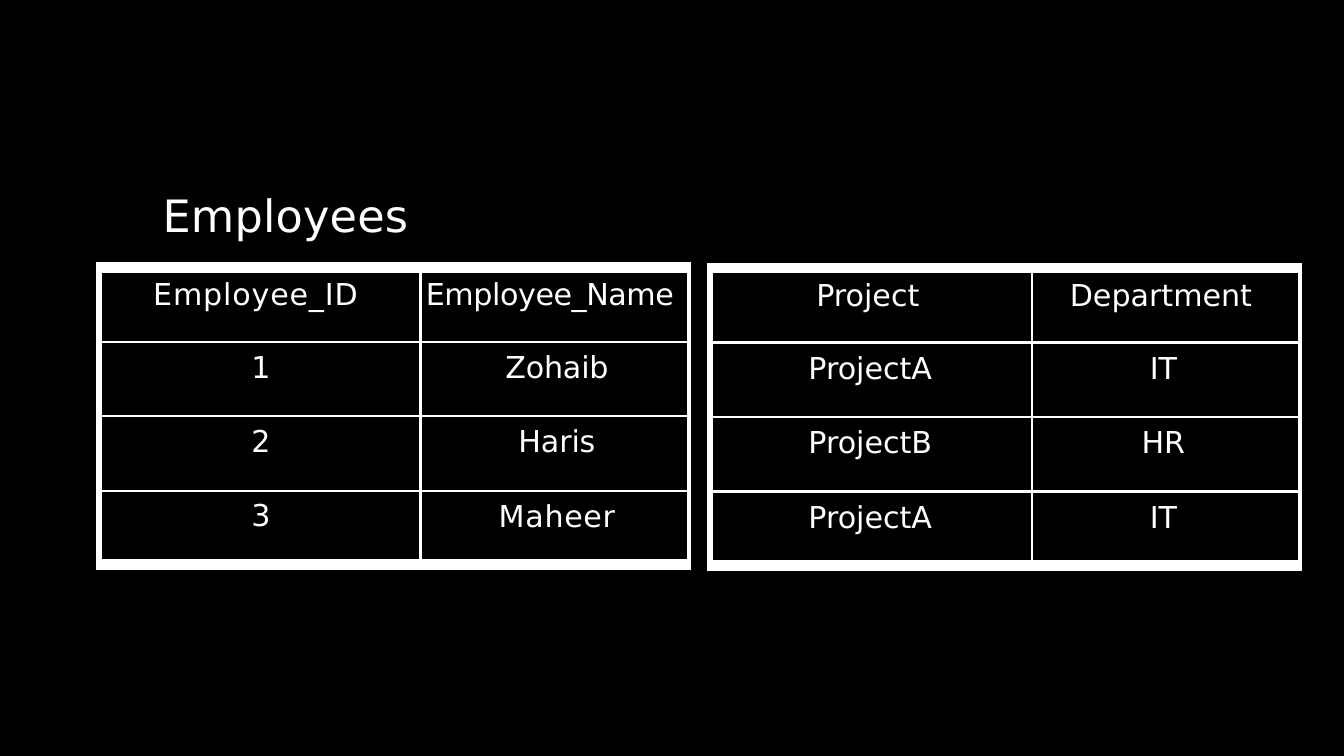
from dataclasses import dataclass

from lxml import etree
from pptx import Presentation
from pptx import util as u
from pptx.dml.color import RGBColor
from pptx.enum import text
from pptx.oxml.ns import qn

FONT = "DejaVu Sans"
HUES = {"black": "000000", "white": "FFFFFF"}
COLS = (0.2, 13.26, 11.1, 0.08)
ROWS = (0.38, 2.9, 3.1, 3.1, 2.9, 0.38)
LAST = len(ROWS) - 2


@dataclass
class Entry:
    words: str
    track: float = 0
    indent: float = 0.25
    top: float = 0.36
    before: float = 10


@dataclass
class Grid:
    left: float
    top: float
    rows: list[list[Entry]]


def head(words: str, track: float = 0, indent: float = 0.05) -> Entry:
    return Entry(words, track, indent, 0.25, 7.1)


GRIDS = [
    Grid(4.01, 10.92, [
        [head("Employee_ID ", 1, 0), head("Employee_Name ", -0.5)],
        [Entry("1", indent=0), Entry("Zohaib", -0.2)],
        [Entry("2", indent=0), Entry("Haris", -0.2)],
        [Entry("3", indent=0, top=0.3, before=8.3), Entry("Maheer", 0.8)],
    ]),
    Grid(29.41, 10.95, [
        [head("Project "), head("Department ")],
        [Entry("ProjectA "), Entry("IT ")],
        [Entry("ProjectB "), Entry("HR ")],
        [Entry("ProjectA "), Entry("IT ")],
    ]),
]


def hue(name: str) -> RGBColor:
    return RGBColor.from_string(HUES[name])


def write(para, entry: Entry, size: float) -> None:
    para.space_before = u.Pt(entry.before)
    para._p.get_or_add_pPr().set("marL", str(u.Cm(entry.indent)))
    run = para.add_run()
    run.text = entry.words
    run.font.name = FONT
    run.font.size = u.Pt(size)
    run.font.color.rgb = hue("white")
    run._r.get_or_add_rPr().set("spc", str(round(entry.track * 100)))


def rule(cell, side: str, width: float) -> None:
    """Draw one white border; call in the order L, R, T, B, before the fill."""
    props = cell._tc.get_or_add_tcPr()
    line = etree.SubElement(props, qn(f"a:ln{side}"), w=str(u.Pt(width)))
    fill = etree.SubElement(line, qn("a:solidFill"))
    etree.SubElement(fill, qn("a:srgbClr"), val=HUES["white"])


def paint(cell, name: str) -> None:
    cell.fill.solid()
    cell.fill.fore_color.rgb = hue(name)


def frame(cell, row: int, col: int) -> None:
    """Fill a cell of the white frame, its empty line kept tiny."""
    if col == 3 and 1 <= row <= LAST:
        rule(cell, "L", 2.25)
    paint(cell, "white")
    para = cell.text_frame.paragraphs[0]
    etree.SubElement(para._p, qn("a:endParaRPr"), sz="500")


def body(cell, entry: Entry, row: int, col: int) -> None:
    if col == 2:
        rule(cell, "L", 3)
    rule(cell, "R", 3 if col == 1 else 2.25)
    if row > 1:
        rule(cell, "T", 3)
    if row < LAST:
        rule(cell, "B", 3)
    paint(cell, "black")
    cell.margin_top = u.Cm(entry.top)
    para = cell.text_frame.paragraphs[0]
    para.alignment = text.PP_ALIGN.CENTER
    write(para, entry, 35.5)


def draw(slide, grid: Grid) -> None:
    table = slide.shapes.add_table(
        len(ROWS), len(COLS), u.Cm(grid.left), u.Cm(grid.top),
        u.Cm(sum(COLS)), u.Cm(sum(ROWS))).table
    table.first_row = table.horz_banding = False
    for col, width in enumerate(COLS):
        table.columns[col].width = u.Cm(width)
    for row, height in enumerate(ROWS):
        table.rows[row].height = u.Cm(height)
        for col in range(len(COLS)):
            cell = table.cell(row, col)
            cell.margin_left = cell.margin_right = 0
            cell.margin_top = cell.margin_bottom = 0
            if 1 <= row <= LAST and col in (1, 2):
                body(cell, grid.rows[row - 1][col - 1], row, col)
            else:
                frame(cell, row, col)


def title(slide) -> None:
    box = slide.shapes.add_textbox(
        u.Cm(6.73), u.Cm(7.75), u.Cm(10.39), u.Cm(2.29)).text_frame
    box.word_wrap = True
    box.margin_left = box.margin_right = box.margin_bottom = 0
    box.margin_top = u.Cm(0.05)
    write(box.paragraphs[0], Entry("Employees", 0.3, 0.03, before=1.2), 52.5)


def main() -> None:
    deck = Presentation()
    deck.slide_width, deck.slide_height = u.Cm(55.85), u.Cm(31.42)
    slide = deck.slides.add_slide(deck.slide_layouts[6])
    back = slide.background.fill
    back.solid()
    back.fore_color.rgb = hue("black")
    title(slide)
    for grid in GRIDS:
        draw(slide, grid)
    deck.save("out.pptx")


if __name__ == "__main__":
    main()
